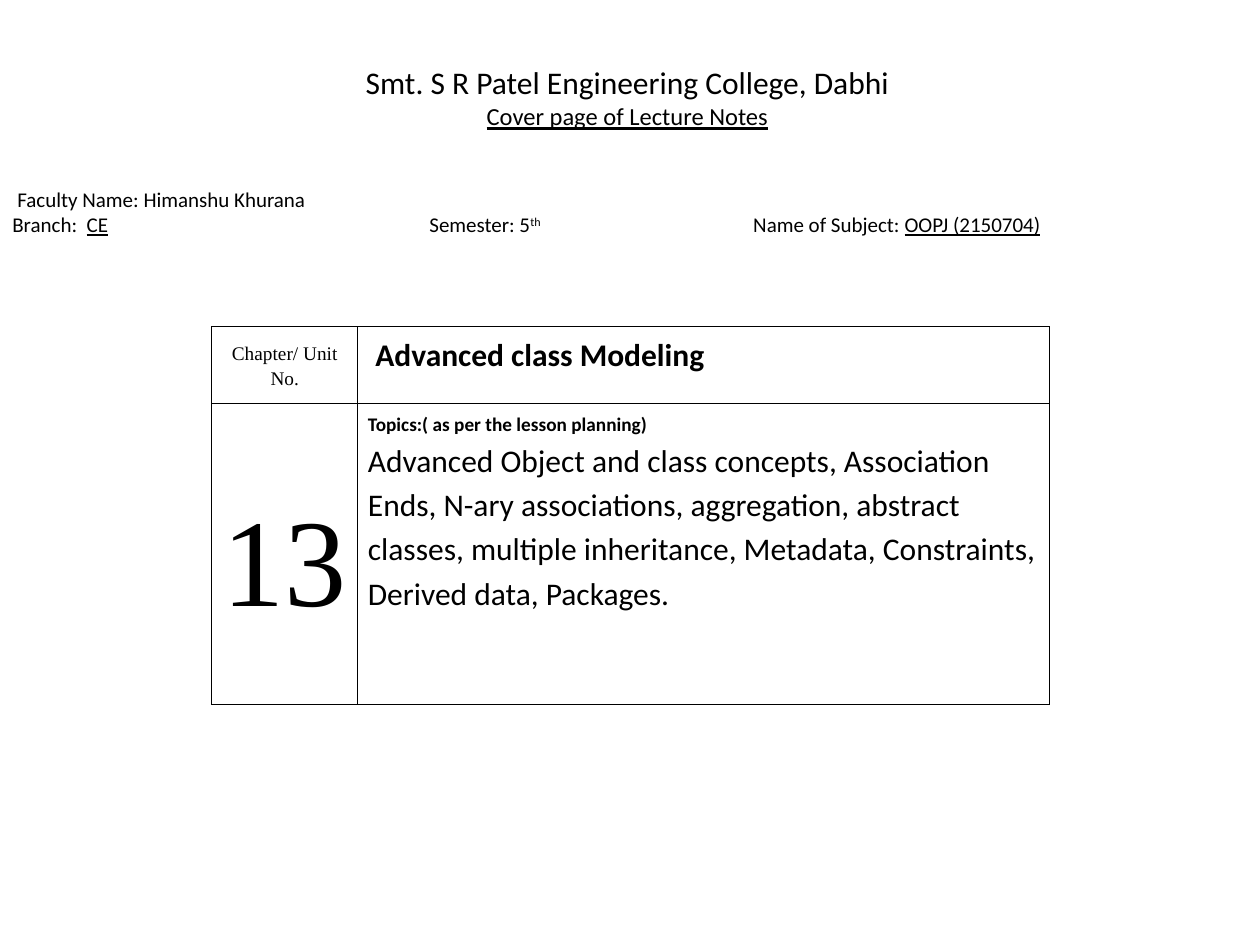
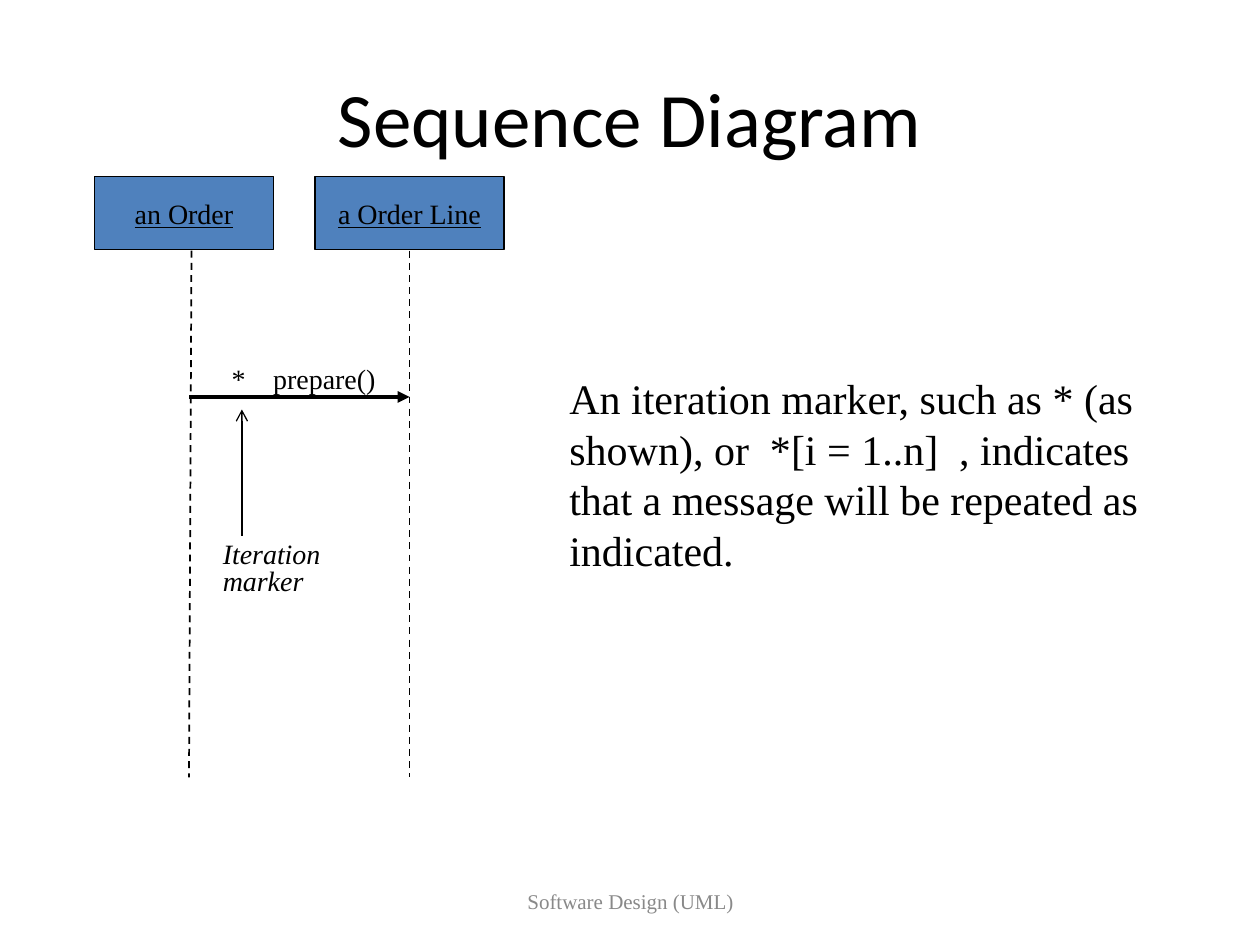
from lxml.etree import SubElement
from pptx import Presentation
from pptx.dml.color import RGBColor
from pptx.enum.dml import MSO_LINE
from pptx.enum.shapes import MSO_CONNECTOR, MSO_SHAPE
from pptx.enum.text import MSO_ANCHOR, PP_ALIGN
from pptx.oxml.ns import qn
from pptx.util import Inches, Pt

# Shared look
HUES = {"ink": "000000", "box": "4F81BD", "foot": "898989"}
SANS, SERIF = "Calibri", "Times New Roman"
LEFT, MID = PP_ALIGN.LEFT, PP_ALIGN.CENTER
UNDER, BOLD = {"line": True}, {"bold": True}

# Cover content: each paragraph is a list of (text, format) runs
HEAD = [
    [("Smt. S R Patel Engineering College, Dabhi", {"size": 18})],
    [("Cover page of Lecture Notes", {"size": 14, "line": True})],
]
FACTS = [
    [("Faculty Name: Himanshu Khurana", {})],
    [("Branch:\t", {}), ("CE", UNDER), ("\tSemester: 5", {}),
     ("th", {"raised": True}), ("\tName of Subject: ", {}),
     ("OOPJ (2150704)", UNDER)],
]
FACT_TABS = (0.59, 3.31, 5.88)
UNIT = {"size": 11, "font": SERIF, "align": MID, "lead": 1.15}
CELLS = [
    [("Chapter/ Unit No.", UNIT),
     ("Advanced class Modeling",
      {"size": 18, "bold": True, "anchor": MSO_ANCHOR.TOP,
       "pad": (0.14, 0.08)})],
    [("13", UNIT | {"size": 71}),
     ([[("Topics:( as per the lesson planning)", {"size": 11, "bold": True})],
       [("Advanced Object and class concepts, Association Ends, N-ary "
         "associations, aggregation, abstract classes, multiple inheritance, "
         "Metadata, Constraints, Derived data, Packages.", {})]],
      {"size": 18, "lead": 1.15, "anchor": MSO_ANCHOR.TOP})],
]
COLS, ROWS = (1.16, 5.49), (0.61, 2.39)

# Diagram content
TITLE = "Sequence Diagram"
FOOT = "Software Design (UML)"
NOTE = ("An iteration marker, such as * (as shown), or  *[i = 1..n]  , "
        "indicates that a message will be repeated as indicated.")
CALL = "*\tprepare()"
MARK = ("Iteration", "marker")
ROLES = [("an Order", 0.75, 1.42), ("a Order Line", 2.5, 1.5)]
LINES = [  # start, end, width, extras
    ((1.52, 1.99), (1.5, 6.17), 1, {"dash": True}),
    ((3.25, 1.99), (3.25, 6.17), 1, {"dash": True}),
    ((1.5, 3.15), (3.25, 3.15), 2.25, {"tail": "triangle"}),
    ((1.92, 3.25), (1.92, 4.25), 0.75, {"head": "arrow"}),
]


def tint(name):
    return RGBColor.from_string(HUES[name])


def write(frame, text, size=12, font=SANS, hue="ink", align=LEFT, lead=None,
          gap=0, tabs=(), anchor=MSO_ANCHOR.MIDDLE, **style):
    """Fill a frame with a string or with paragraphs of (text, format) runs."""
    frame.word_wrap = True
    frame.vertical_anchor = anchor
    paras = [[(text, {})]] if isinstance(text, str) else text
    for i, runs in enumerate(paras):
        para = frame.add_paragraph() if i else frame.paragraphs[0]
        para.alignment = align
        if lead:
            para.line_spacing = lead
        if i and gap:
            para.space_before = Pt(gap)
        if tabs:
            stops = SubElement(para._p.get_or_add_pPr(), qn("a:tabLst"))
            for stop in tabs:
                SubElement(stops, qn("a:tab"), pos=str(Inches(stop)), algn="l")
        for words, extra in runs:
            look = {"size": size} | style | extra
            run = para.add_run()
            run.text = words
            face = run.font
            face.name, face.size = font, Pt(look["size"])
            face.color.rgb = tint(hue)
            face.bold = look.get("bold", False)
            face.italic = look.get("slant", False)
            face.underline = look.get("line", False)
            if look.get("raised"):
                run._r.get_or_add_rPr().set("baseline", "30000")


def label(slide, text, *area, **style):
    box = slide.shapes.add_textbox(*map(Inches, area))
    write(box.text_frame, text, **style)
    return box


def edge(cell):
    """Give a cell thin borders on all four sides."""
    props = cell._tc.get_or_add_tcPr()
    for i, side in enumerate("LRTB"):
        rule = SubElement(props, qn(f"a:ln{side}"), w=str(Pt(0.45)))
        fill = SubElement(rule, qn("a:solidFill"))
        SubElement(fill, qn("a:srgbClr"), val=HUES["ink"])
        props.insert(i, rule)


def link(slide, start, end, width, dash=False, **tips):
    ends = map(Inches, (*start, *end))
    wire = slide.shapes.add_connector(MSO_CONNECTOR.STRAIGHT, *ends)
    wire.line.color.rgb = tint("ink")
    wire.line.width = Pt(width)
    if dash:
        wire.line.dash_style = MSO_LINE.DASH
    for tip, kind in tips.items():
        SubElement(wire.line._get_or_add_ln(), qn(f"a:{tip}End"), type=kind)
    SubElement(wire._element.spPr, qn("a:effectLst"))


def cover(slide):
    label(slide, HEAD, 0.48, 0.27, 9, 1, align=MID)
    box = label(slide, FACTS, 0, 1.47, 10, 0.5, lead=0.8, gap=3,
                tabs=FACT_TABS, anchor=MSO_ANCHOR.TOP)
    first = box.text_frame.paragraphs[0]
    first._p.get_or_add_pPr().set("marL", str(Inches(0.04)))

    # Unit table
    area = map(Inches, (1.68, 2.59, sum(COLS), sum(ROWS)))
    grid = slide.shapes.add_table(len(ROWS), len(COLS), *area).table
    grid.first_row = grid.horz_banding = False
    for col, wide in zip(grid.columns, COLS):
        col.width = Inches(wide)
    for row, high, parts in zip(grid.rows, ROWS, CELLS):
        row.height = Inches(high)
        for cell, (text, style) in zip(row.cells, parts):
            style = dict(style)
            left, top = style.pop("pad", (0.08, 0.05))
            cell.margin_left, cell.margin_right = Inches(left), Inches(0.08)
            cell.margin_top = Inches(top)
            cell.vertical_anchor = style.get("anchor", MSO_ANCHOR.MIDDLE)
            cell.fill.background()
            edge(cell)
            write(cell.text_frame, text, **style)


def chart(slide):
    label(slide, TITLE, 0.5, 0.3, 9, 1.25, size=44, align=MID)
    label(slide, FOOT, 3.42, 6.95, 3.17, 0.4, font=SERIF, hue="foot", align=MID)

    # Roles and their messages
    for name, left, wide in ROLES:
        area = map(Inches, (left, 1.4, wide, 0.58))
        box = slide.shapes.add_shape(MSO_SHAPE.RECTANGLE, *area)
        box.shadow.inherit = False
        box.fill.solid()
        box.fill.fore_color.rgb = tint("box")
        box.line.color.rgb = tint("ink")
        box.line.width = Pt(1)
        write(box.text_frame, name, size=16, font=SERIF, align=MID, line=True)
    for start, end, width, extra in LINES:
        link(slide, start, end, width, **extra)

    # Labels and note
    label(slide, CALL, 1.74, 2.82, 1.5, 0.37, size=16, font=SERIF, tabs=(0.33,))
    for i, word in enumerate(MARK):
        label(slide, word, 1.67, 4.21 + 0.21 * i, 1.1, 0.37, size=16,
              font=SERIF, slant=True)
    label(slide, NOTE, 4.42, 2.91, 5.08, 1.7, size=24, font=SERIF)


def main():
    deck = Presentation()
    deck.slide_width, deck.slide_height = Inches(10), Inches(7.5)
    for draw in (cover, chart):
        draw(deck.slides.add_slide(deck.slide_layouts[6]))
    deck.save("out.pptx")


if __name__ == "__main__":
    main()
